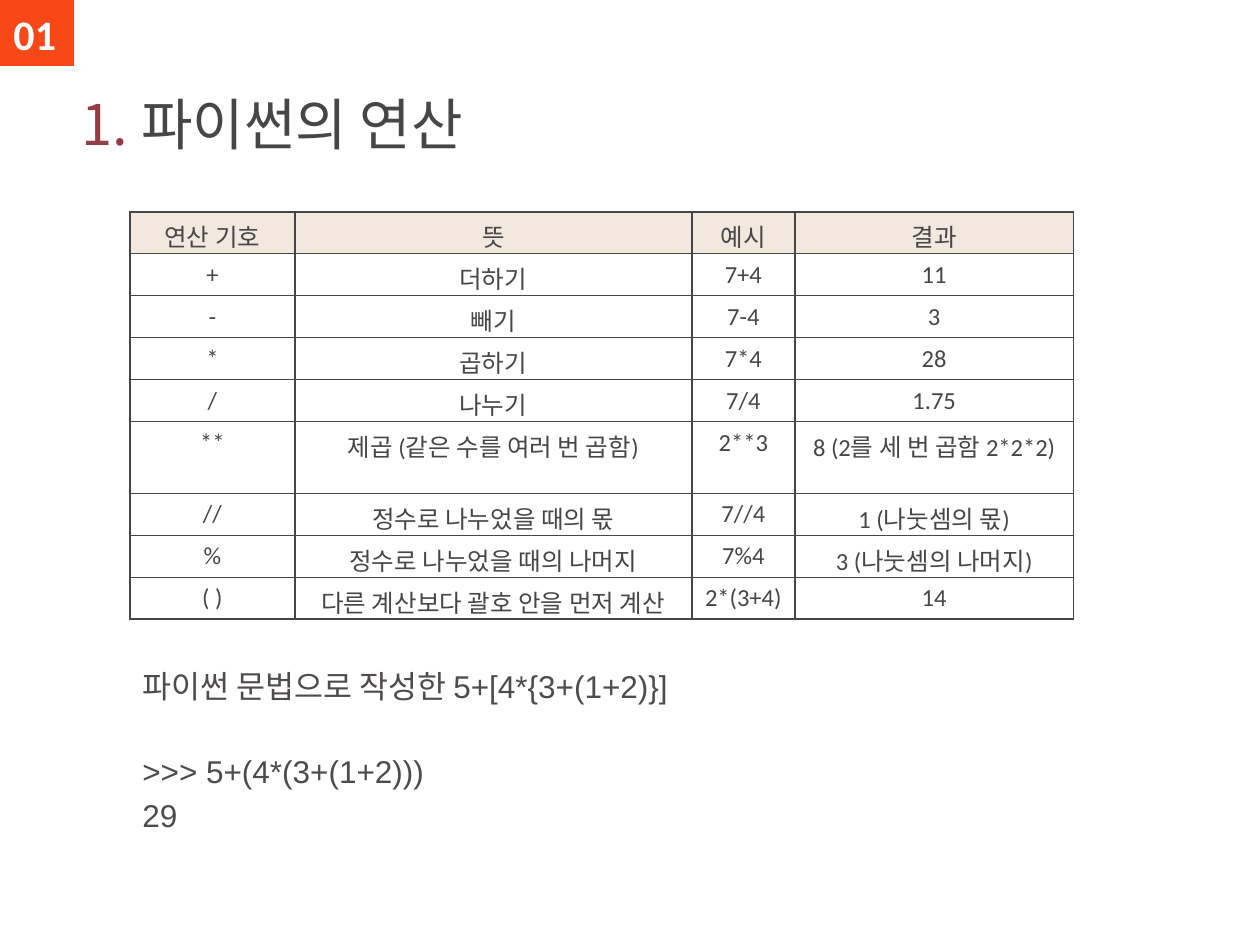
from lxml.etree import SubElement
from pptx import Presentation
from pptx.dml.color import RGBColor
from pptx.enum.shapes import MSO_SHAPE
from pptx.enum.text import MSO_ANCHOR, PP_ALIGN
from pptx.oxml.ns import qn
from pptx.util import Pt

COLORS = {
    "accent": "F84818",
    "number": "953D46",
    "text": "464646",
    "body": "504B4B",
    "header": "F2E8DE",
    "white": "FFFFFF",
}
KOREAN = "Noto Sans CJK KR"


def add_text(p, text, size, color, font="Calibri", bold=False, align=None):
    r = p.add_run()
    r.text = text
    r.font.size = Pt(size)
    r.font.bold = bold
    r.font.name = font
    r.font.color.rgb = RGBColor.from_string(COLORS[color])
    SubElement(r.font._element, qn("a:ea"), typeface=KOREAN)
    if align is not None:
        p.alignment = align


def add_borders(cell, color, width):
    """Draw a solid line on all four sides; call before setting the fill."""
    tc_pr = cell._tc.get_or_add_tcPr()
    for side in ("a:lnL", "a:lnR", "a:lnT", "a:lnB"):
        ln = SubElement(tc_pr, qn(side), w=str(Pt(width)))
        fill = SubElement(ln, qn("a:solidFill"))
        SubElement(fill, qn("a:srgbClr"), val=COLORS[color])


prs = Presentation()
prs.slide_width, prs.slide_height = Pt(720), Pt(540)
s = prs.slides.add_slide(prs.slide_layouts[5])

# Title
title = s.shapes.title
title.left, title.top, title.width, title.height = Pt(39.6), Pt(29.5), Pt(638.6), Pt(63.4)
tf = title.text_frame
tf.vertical_anchor = MSO_ANCHOR.BOTTOM
p = tf.paragraphs[0]
add_text(p, "1. ", 32, "number", KOREAN, align=PP_ALIGN.LEFT)
add_text(p, "파이썬의 연산", 32, "text", KOREAN)

# Chapter badge
badge = s.shapes.add_shape(MSO_SHAPE.FLOWCHART_PROCESS, 0, 0, Pt(42.5), Pt(37.5))
badge.shadow.inherit = False
badge.fill.solid()
badge.fill.fore_color.rgb = RGBColor.from_string(COLORS["accent"])
badge.line.fill.background()
label = s.shapes.add_textbox(Pt(-8.6), Pt(1.4), Pt(56.9), Pt(36))
label.text_frame.word_wrap = True
add_text(label.text_frame.paragraphs[0], "01", 24, "white", bold=True, align=PP_ALIGN.CENTER)

# Operator table
rows = [
    ("연산 기호", "뜻", "예시", "결과"),
    ("+", "더하기", "7+4", "11"),
    ("-", "빼기", "7-4", "3"),
    ("*", "곱하기", "7*4", "28"),
    ("/", "나누기", "7/4", "1.75"),
    ("**", "제곱 (같은 수를 여러 번 곱함)", "2**3", "8 (2를 세 번 곱함 2*2*2)"),
    ("//", "정수로 나누었을 때의 몫", "7//4", "1 (나눗셈의 몫)"),
    ("%", "정수로 나누었을 때의 나머지", "7%4", "3 (나눗셈의 나머지)"),
    ("( )", "다른 계산보다 괄호 안을 먼저 계산", "2*(3+4)", "14"),
]
col_widths = [94.3, 226.8, 59, 159.1]
row_heights = [24] * 5 + [41] + [24] * 3
table = s.shapes.add_table(
    len(rows), len(col_widths), Pt(74.2), Pt(121), Pt(sum(col_widths)), Pt(sum(row_heights))
).table
table.first_row = table.horz_banding = False
for col, width in zip(table.columns, col_widths):
    col.width = Pt(width)
for i, (row, height) in enumerate(zip(rows, row_heights)):
    table.rows[i].height = Pt(height)
    for j, text in enumerate(row):
        cell = table.cell(i, j)
        cell.margin_bottom = 0
        add_borders(cell, "text", 1)
        if i == 0:
            cell.fill.solid()
            cell.fill.fore_color.rgb = RGBColor.from_string(COLORS["header"])
        else:
            cell.fill.background()
        add_text(cell.text_frame.paragraphs[0], text, 14, "text", align=PP_ALIGN.CENTER)

# Worked example
example = s.shapes.add_textbox(Pt(74.2), Pt(374.4), Pt(526.3), Pt(126.7))
tf = example.text_frame
tf.word_wrap = True
lines = [("파이썬 문법으로 작성한 5+[4*{3+(1+2)}]", 0), (">>> 5+(4*(3+(1+2)))", 24), ("29", 0)]
for i, (text, space) in enumerate(lines):
    p = tf.add_paragraph() if i else tf.paragraphs[0]
    p.line_spacing = 1.15
    p.space_before = Pt(space)
    add_text(p, text, 18, "body", "Arial")

prs.save("out.pptx")
